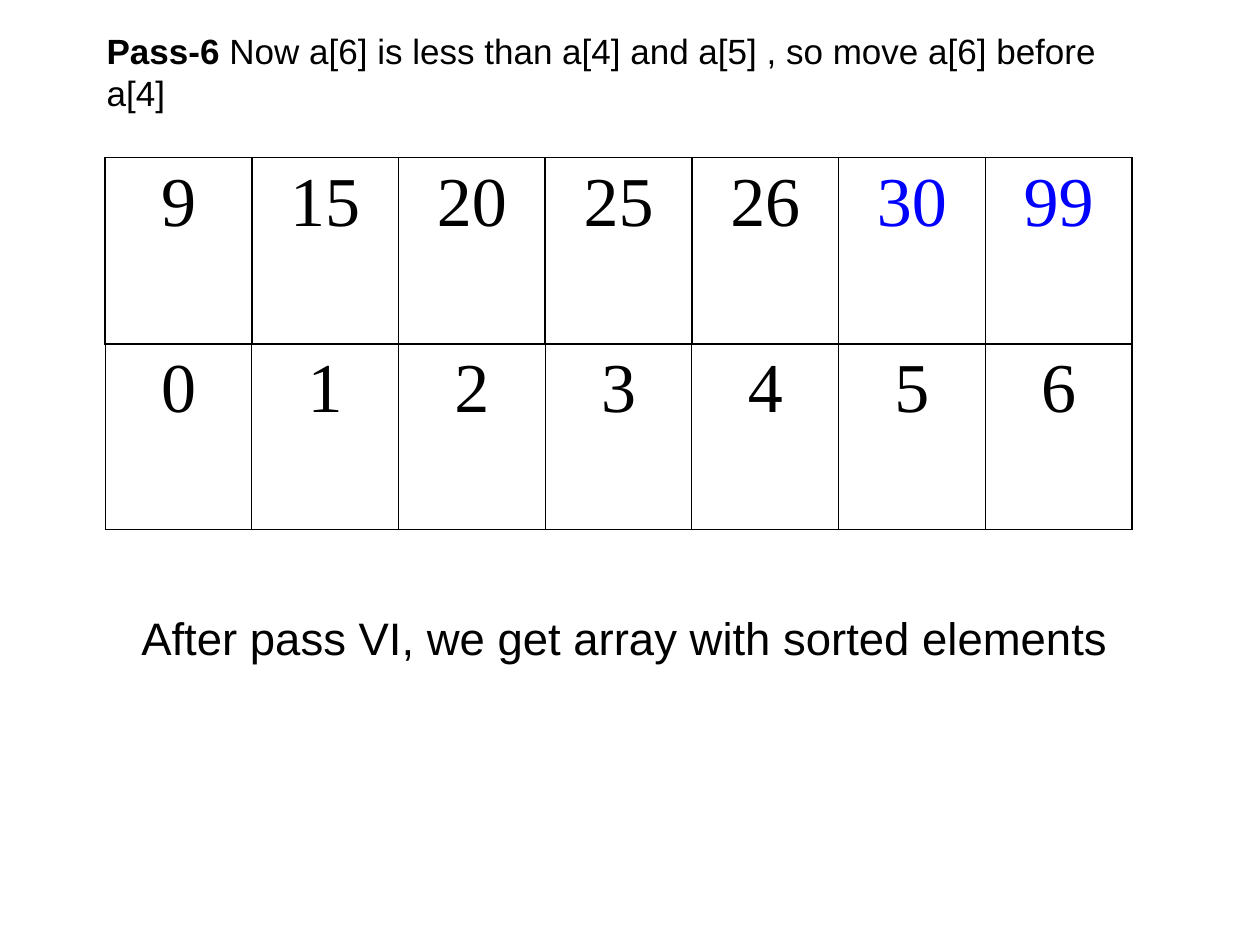
from lxml.etree import SubElement
from pptx import Presentation
from pptx.dml.color import RGBColor
from pptx.enum.text import MSO_ANCHOR, PP_ALIGN
from pptx.oxml.ns import qn
from pptx.util import Cm, Pt

COLORS = {"ink": "000000", "moved": "0000FF", "paper": "FFFFFF"}


class Deck:
    """Holds the style and the current slide, and draws each kind of element."""

    body, digits = "Arial", "Times New Roman"

    def __init__(self, prs):
        self.s = prs.slides.add_slide(prs.slide_layouts[6])

    def color(self, name):
        return RGBColor.from_string(COLORS[name])

    def font(self, r, name, size, color="ink", bold=False):
        r.font.name, r.font.size, r.font.bold = name, Pt(size), bold
        r.font.color.rgb = self.color(color)

    def text(self, left, top, width, height, runs, size, anchor=MSO_ANCHOR.MIDDLE):
        sp = self.s.shapes.add_textbox(Cm(left), Cm(top), Cm(width), Cm(height))
        tf = sp.text_frame
        tf.word_wrap = True
        tf.vertical_anchor = anchor
        if anchor == MSO_ANCHOR.TOP:
            tf.margin_top = 0
        for words, bold in runs:
            r = tf.paragraphs[0].add_run()
            r.text = words
            self.font(r, self.body, size, bold=bold)

    def border(self, cell, widths):
        tcPr = cell._tc.get_or_add_tcPr()
        for side, width in zip("LRTB", widths):
            ln = SubElement(tcPr, qn(f"a:ln{side}"), w=str(Pt(width)))
            fill = SubElement(ln, qn("a:solidFill"))
            SubElement(fill, qn("a:srgbClr"), val=COLORS["ink"])

    def table(self, left, top, width, height, rows, moved, size):
        shape = self.s.shapes.add_table(len(rows), len(rows[0]), Cm(left), Cm(top), Cm(width), Cm(height))
        for i, row in enumerate(rows):
            for j, value in enumerate(row):
                cell = shape.table.cell(i, j)
                self.border(cell, (0.75, 0.75, 1, 0.75) if i else (1, 1, 1, 1))
                cell.fill.solid()
                cell.fill.fore_color.rgb = self.color("paper")
                cell.text_frame.text = str(value)
                p = cell.text_frame.paragraphs[0]
                p.alignment = PP_ALIGN.CENTER
                self.font(p.runs[0], self.digits, size, "moved" if value in moved else "ink")


def main():
    prs = Presentation()
    prs.slide_width, prs.slide_height = Cm(25.4), Cm(19.05)
    deck = Deck(prs)
    deck.text(1.9, 0.6, 21.6, 2.2, [
        ("Pass-6 ", True),
        ("Now a[6] is less than a[4] and a[5] , so move a[6] before a[4]", False),
    ], 20, MSO_ANCHOR.TOP)
    values = [9, 15, 20, 25, 26, 30, 99]
    deck.table(2.12, 3.18, 20.7, 7.5, [values, range(len(values))], {30, 99}, 40)
    deck.text(2.6, 12.17, 20.27, 1.35, [("After pass VI, we get array with sorted elements", False)], 26)
    prs.save("out.pptx")


if __name__ == "__main__":
    main()
